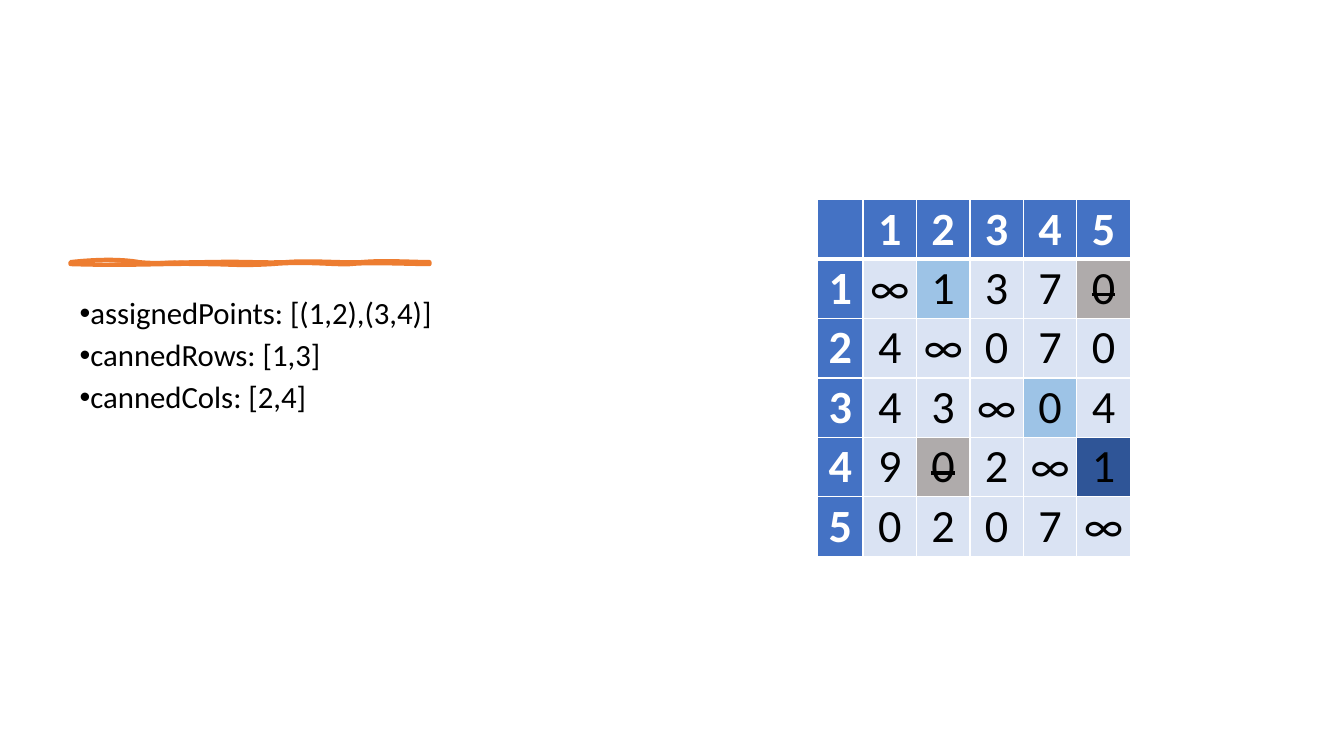
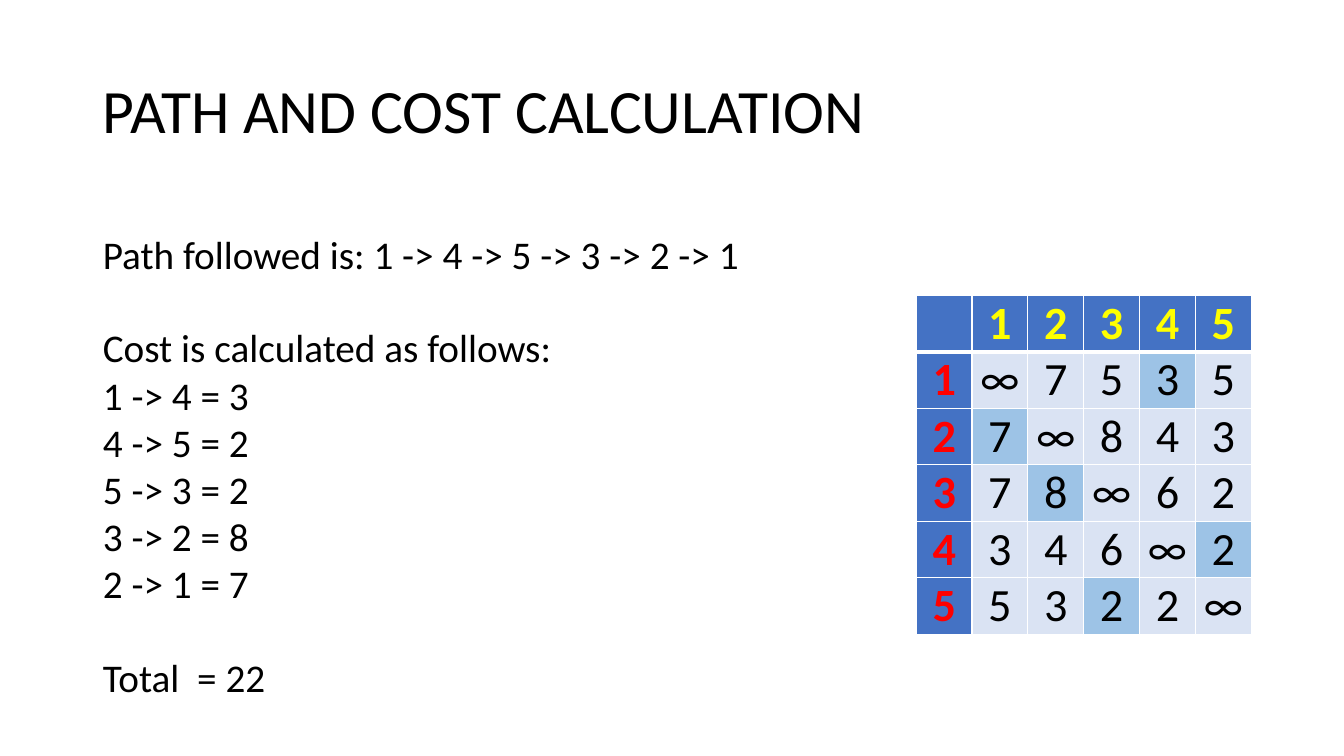
"""Build two slides on an assignment matrix and the cost of the path it gives."""
from pptx import Presentation
from pptx.dml.color import RGBColor as RGB
from pptx.enum.text import MSO_ANCHOR as Anchor, MSO_AUTO_SIZE as AutoSize, PP_ALIGN as Align
from pptx.oxml.ns import qn
from pptx.util import Pt
from lxml.etree import SubElement

PX = 9144
FONT = "Calibri"
BLACK = RGB(0x00, 0x00, 0x00)
WHITE = RGB(0xFF, 0xFF, 0xFF)
YELLOW = RGB(0xFF, 0xFF, 0x00)
RED = RGB(0xFF, 0x00, 0x00)
ORANGE = RGB(0xED, 0x7D, 0x31)
BLUE = RGB(0x44, 0x72, 0xC4)
PALE_BLUE = RGB(0xDA, 0xE3, 0xF3)
LIGHT_BLUE = RGB(0x9D, 0xC3, 0xE6)
DARK_BLUE = RGB(0x2F, 0x55, 0x97)
GREY = RGB(0xAF, 0xAB, 0xAB)

STROKE_BOX = (70, 260, 426, 262)
STROKE_OUTLINE = [
    (97, 257, 121, 257, 138, 260), (155, 262, 177, 260, 209, 260),
    (241, 259, 260, 261, 284, 260), (308, 258, 339, 261, 359, 260),
    (379, 258, 412, 260, 426, 260), (426, 260, 426, 261, 426, 262),
    (408, 262, 364, 260, 348, 262), (332, 263, 304, 259, 270, 262),
    (235, 264, 231, 262, 199, 262), (166, 261, 132, 264, 70, 262),
    (70, 261, 70, 260, 70, 260),
]
STROKE_BODY = [
    (102, 262, 110, 260, 138, 260), (166, 259, 169, 257, 199, 260),
    (228, 262, 261, 261, 277, 260), (293, 258, 327, 262, 344, 260),
    (362, 257, 397, 263, 426, 260), (426, 260, 426, 261, 426, 262),
    (412, 261, 372, 264, 355, 262), (338, 259, 309, 262, 277, 262),
    (244, 261, 240, 260, 216, 262), (193, 263, 179, 261, 145, 262),
    (111, 262, 92, 261, 70, 262), (70, 261, 70, 260, 70, 260),
]

REDUCED_COSTS = ["∞1370", "4∞070", "43∞04", "902∞1", "0207∞"]
TRAVEL_COSTS = ["∞7535", "7∞843", "78∞62", "346∞2", "5322∞"]
ASSIGNED = ["assignedPoints: [(1,2),(3,4)]", "cannedRows: [1,3]", "cannedCols: [2,4]"]
COST_LINES = [
    "Path followed is: 1 -> 4 -> 5 -> 3 -> 2 -> 1",
    "Cost is calculated as follows:",
    "1 -> 4 = 3", "4 -> 5 = 2", "5 -> 3 = 2", "3 -> 2 = 8", "2 -> 1 = 7",
    "Total  = 22",
]
SECTION_STARTS = (1, 7)


def place(sp, left, top, width, height):
    sp.left, sp.top, sp.width, sp.height = (n * PX for n in (left, top, width, height))


def add_run(p, text, size, color=BLACK, bold=False, strike=False):
    r = p.add_run()
    r.text = text
    font = r.font
    font.name, font.size, font.bold = FONT, Pt(size), bold
    font.color.rgb = color
    if strike:
        r._r.get_or_add_rPr().set("strike", "sngStrike")


def fill_title(sp, text):
    place(sp, 92, 40, 1150, 145)
    tf = sp.text_frame
    tf.auto_size = AutoSize.NONE
    tf.vertical_anchor = Anchor.MIDDLE
    p = tf.paragraphs[0]
    p.alignment, p.line_spacing = Align.LEFT, 0.9
    add_run(p, text, 44)


def fill_body(sp, lines, size, bullet=None, spacing=1.0, after=0, section_starts=()):
    tf = sp.text_frame
    tf.auto_size = AutoSize.NONE
    tf.vertical_anchor = Anchor.TOP
    for i, line in enumerate(lines):
        p = tf.add_paragraph() if i else tf.paragraphs[0]
        p.alignment, p.line_spacing = Align.LEFT, spacing
        p.space_before = Pt(33.5 if i in section_starts else 0)
        p.space_after = Pt(after)
        pPr = p._p.get_or_add_pPr()
        pPr.set("marL", "0")
        pPr.set("indent", str(-25 * PX if bullet else 0))
        if bullet:
            SubElement(pPr, qn("a:buChar")).set("char", bullet)
        else:
            SubElement(pPr, qn("a:buNone"))
        add_run(p, line, size)


def add_curves(outlines, left, top, width, height, curves, **flags):
    """Add one closed outline of cubic curves that starts at the box's corner."""
    outline = SubElement(outlines, qn("a:path"), w=str(width), h=str(height), **flags)
    start = SubElement(outline, qn("a:moveTo"))
    SubElement(start, qn("a:pt"), x="0", y="0")
    for curve in curves:
        bezier = SubElement(outline, qn("a:cubicBezTo"))
        for x, y in zip(curve[::2], curve[1::2]):
            SubElement(bezier, qn("a:pt"), x=str((x - left) * PX), y=str((y - top) * PX))
    SubElement(outline, qn("a:close"))


def add_brush_stroke(slide):
    left, top, right, bottom = STROKE_BOX
    builder = slide.shapes.build_freeform(left, top, scale=PX)
    builder.add_line_segments([(right, top), (right, bottom), (left, bottom)], close=True)
    sp = builder.convert_to_shape()
    sp.shadow.inherit = False
    sp.fill.solid()
    sp.fill.fore_color.rgb = ORANGE
    sp.line.color.rgb = ORANGE
    sp.line.width = Pt(3)
    outlines = sp._element.spPr.find(qn("a:custGeom")).find(qn("a:pathLst"))
    outlines.remove(outlines[0])
    box = (left, top, (right - left) * PX, (bottom - top) * PX)
    add_curves(outlines, *box, STROKE_OUTLINE, fill="none")
    add_curves(outlines, *box, STROKE_BODY, stroke="0")


def set_borders(cell, top, bottom):
    tcPr = cell._tc.get_or_add_tcPr()
    for tag, width in (("lnL", 1), ("lnR", 1), ("lnT", top), ("lnB", bottom)):
        ln = SubElement(tcPr, qn(f"a:{tag}"))
        ln.set("w", str(Pt(width)))
        fill = SubElement(ln, qn("a:solidFill"))
        SubElement(fill, qn("a:srgbClr")).set("val", str(WHITE))


def add_matrix(slide, left, top, width, head_width, row_height, costs, marks,
               col_color=WHITE, row_color=WHITE):
    """Add a cost table with numbered heads; marks maps (row, column) to a fill."""
    n = len(costs) + 1
    frame = slide.shapes.add_table(
        n, n, left * PX, top * PX, width * PX, n * row_height * PX)
    table = frame.table
    table.horz_banding = False
    for j, column in enumerate(table.columns):
        column.width = (width - head_width) * PX // (n - 1) if j else head_width * PX
    heads = [str(i) for i in range(1, n)]
    rows = [["", *heads]] + [[head, *row] for head, row in zip(heads, costs)]
    for i, row in enumerate(rows):
        table.rows[i].height = row_height * PX
        for j, text in enumerate(row):
            cell = table.cell(i, j)
            is_head = i == 0 or j == 0
            fill = BLUE if is_head else marks.get((i, j), PALE_BLUE)
            set_borders(cell, 3 if i == 1 else 1, 3 if i == 0 else 1)
            cell.fill.solid()
            cell.fill.fore_color.rgb = fill
            cell.vertical_anchor = Anchor.MIDDLE
            cell.margin_left = cell.margin_right = cell.margin_top = cell.margin_bottom = 0
            p = cell.text_frame.paragraphs[0]
            p.alignment = Align.CENTER
            color = col_color if i == 0 else row_color if j == 0 else BLACK
            if text:
                add_run(p, text, 33, color, bold=is_head, strike=fill == GREY)


def add_assignment_slide(prs):
    slide = prs.slides.add_slide(prs.slide_layouts[1])
    title, body = slide.placeholders
    title._element.getparent().remove(title._element)
    add_brush_stroke(slide)
    place(body, 69, 291, 527, 388)
    fill_body(body, ASSIGNED, 22, bullet="•", spacing=0.9, after=6)
    marks = {(1, 2): LIGHT_BLUE, (3, 4): LIGHT_BLUE, (4, 5): DARK_BLUE,
             (1, 5): GREY, (4, 2): GREY}
    add_matrix(slide, 811, 198, 310, 45, 59, REDUCED_COSTS, marks)


def add_cost_slide(prs):
    slide = prs.slides.add_slide(prs.slide_layouts[1])
    title, body = slide.placeholders
    fill_title(title, "PATH AND COST CALCULATION")
    place(body, 92, 223, 785, 481)
    fill_body(body, COST_LINES, 28, section_starts=SECTION_STARTS)
    tour = [1, 4, 5, 3, 2, 1]
    marks = {leg: LIGHT_BLUE for leg in zip(tour, tour[1:])}
    add_matrix(slide, 909, 293, 332, 55, 56, TRAVEL_COSTS, marks, YELLOW, RED)


def main():
    prs = Presentation()
    prs.slide_width, prs.slide_height = 1333 * PX, 750 * PX
    add_assignment_slide(prs)
    add_cost_slide(prs)
    prs.save("out.pptx")


if __name__ == "__main__":
    main()
